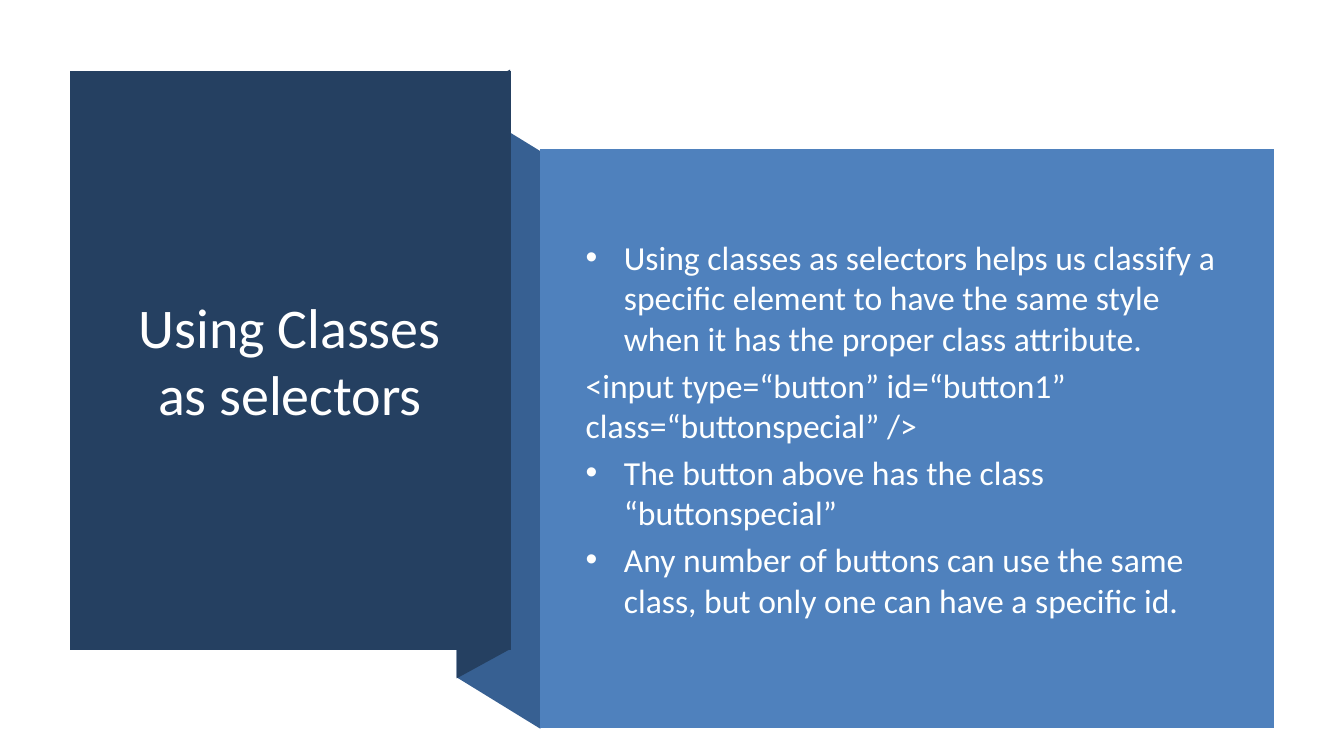
from dataclasses import dataclass

from lxml.etree import SubElement
from pptx import Presentation
from pptx.dml.color import RGBColor
from pptx.enum.text import MSO_ANCHOR, MSO_AUTO_SIZE, PP_ALIGN
from pptx.oxml.ns import qn
from pptx.shapes.base import BaseShape
from pptx.slide import Slide
from pptx.text.text import TextFrame
from pptx.util import Inches, Pt

FONT = "Calibri"
NAVY, FOLD_BLUE, PANEL_BLUE = "254061", "376092", "4F81BD"
TITLE_WHITE, BODY_WHITE = "FFFFFF", "FEFFFF"
BODY_SIZE = 24
BULLET_INDENT = Inches(0.38)


@dataclass(frozen=True)
class Panel:
    corners: tuple[tuple[float, float], ...]
    color: str


@dataclass(frozen=True)
class BodyLine:
    text: str
    bulleted: bool = True


def rectangle(left: float, top: float, right: float, bottom: float) -> tuple[tuple[float, float], ...]:
    return (left, top), (right, top), (right, bottom), (left, bottom)


PANELS = (
    Panel(((5.36, 7.23), (4.53, 6.72), (4.53, 0.99), (5.36, 1.5)), FOLD_BLUE),
    Panel(((5.06, 6.44), (4.53, 6.73), (4.53, 0.98), (5.06, 0.69)), NAVY),
    Panel(rectangle(0.69, 0.7, 5.07, 6.45), NAVY),
    Panel(rectangle(5.36, 1.48, 12.64, 7.22), PANEL_BLUE),
)

BODY_LINES = (
    BodyLine("Using classes as selectors helps us classify a specific element "
             "to have the same style when it has the proper class attribute."),
    BodyLine("<input type=“button” id=“button1” class=“buttonspecial” />", bulleted=False),
    BodyLine("The button above has the class “buttonspecial”"),
    BodyLine("Any number of buttons can use the same class, but only one can have a specific id."),
)


def rgb(color: str) -> RGBColor:
    return RGBColor.from_string(color)


def draw_panel(slide: Slide, panel: Panel) -> None:
    start, *others = [(Inches(x), Inches(y)) for x, y in panel.corners]
    builder = slide.shapes.build_freeform(*start)
    builder.add_line_segments(others, close=True)
    shape = builder.convert_to_shape()
    shape.shadow.inherit = False
    shape.fill.solid()
    shape.fill.fore_color.rgb = rgb(panel.color)
    shape.line.fill.background()


def place(shape: BaseShape, left: float, top: float, width: float, height: float) -> None:
    shape.left, shape.top = Inches(left), Inches(top)
    shape.width, shape.height = Inches(width), Inches(height)


def set_frame(frame: TextFrame) -> None:
    frame.word_wrap = True
    frame.auto_size = MSO_AUTO_SIZE.NONE
    frame.vertical_anchor = MSO_ANCHOR.MIDDLE


def set_font(paragraph, size: float, color: str) -> None:
    paragraph.font.name = FONT
    paragraph.font.size = Pt(size)
    paragraph.font.color.rgb = rgb(color)


def add_bullet(paragraph) -> None:
    properties = paragraph._p.get_or_add_pPr()
    properties.set("marL", str(BULLET_INDENT))
    properties.set("indent", str(-BULLET_INDENT))
    SubElement(properties, qn("a:buFont"), typeface="Arial")
    SubElement(properties, qn("a:buChar"), char="•")


def write_title(slide: Slide) -> None:
    title = slide.shapes.title
    place(title, 1.02, 1.07, 3.71, 4.99)
    slide.shapes._spTree.append(title._element)  # bring in front of the panels
    set_frame(title.text_frame)
    title.text_frame.text = "Using Classes as selectors"
    para = title.text_frame.paragraphs[0]
    para.alignment = PP_ALIGN.CENTER
    set_font(para, 40, TITLE_WHITE)


def write_body(slide: Slide) -> None:
    box = slide.shapes.add_textbox(Inches(5.71), Inches(1.88), Inches(6.51), Inches(4.74))
    frame = box.text_frame
    set_frame(frame)
    for index, line in enumerate(BODY_LINES):
        para = frame.add_paragraph() if index else frame.paragraphs[0]
        para.text = line.text
        if line.bulleted:
            add_bullet(para)
        if index:
            para.space_before = Pt(0.2 * BODY_SIZE)
        set_font(para, BODY_SIZE, BODY_WHITE)


def main() -> None:
    deck = Presentation()
    deck.slide_width, deck.slide_height = Inches(13.33), Inches(7.5)
    page = deck.slides.add_slide(deck.slide_layouts.get_by_name("Title Only"))
    for panel in PANELS:
        draw_panel(page, panel)
    write_title(page)
    write_body(page)
    deck.save("out.pptx")


if __name__ == "__main__":
    main()
